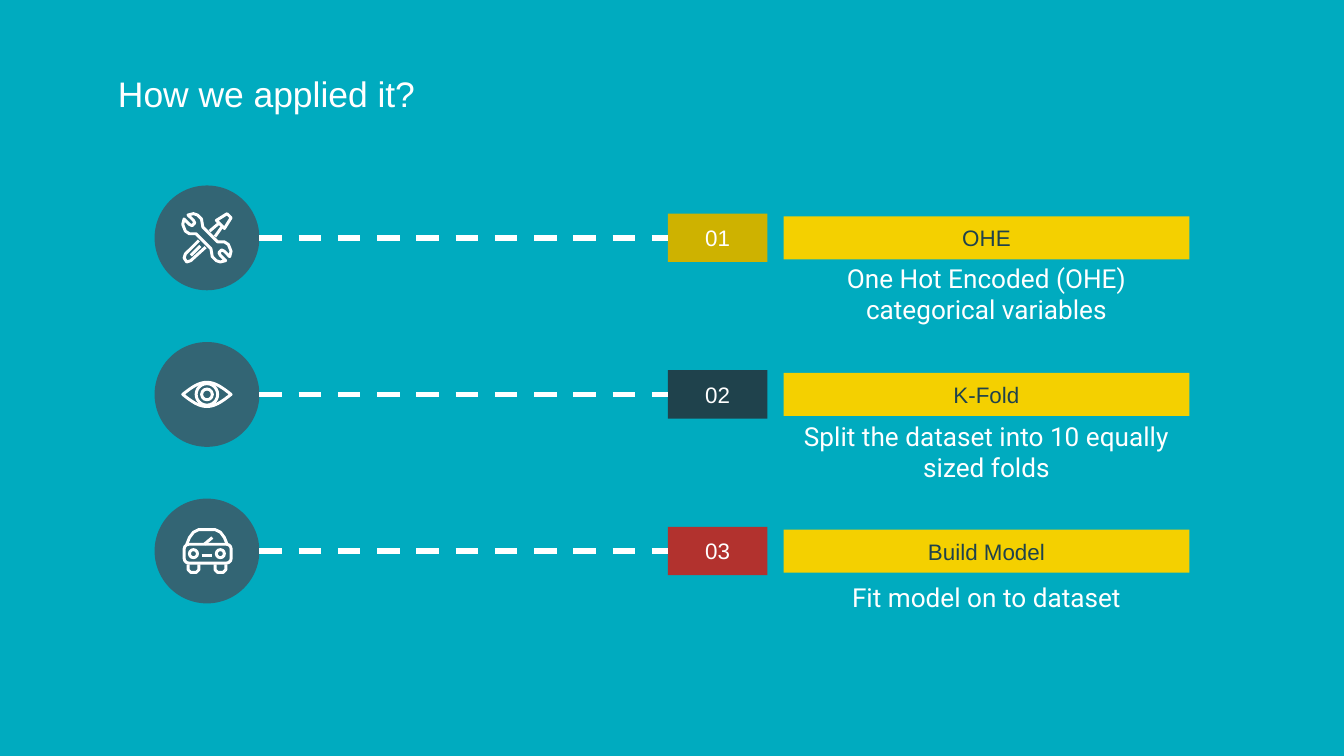
from math import cos, pi

from lxml.etree import SubElement
from pptx import Presentation
from pptx.dml.color import RGBColor
from pptx.enum.dml import MSO_LINE
from pptx.enum.shapes import MSO_CONNECTOR, MSO_SHAPE
from pptx.enum.text import MSO_ANCHOR, PP_ALIGN
from pptx.oxml.ns import qn
from pptx.util import Inches, Pt

TEAL = RGBColor(0x00, 0xAB, 0xBF)
WHITE = RGBColor(0xFF, 0xFF, 0xFF)
YELLOW = RGBColor(0xF4, 0xD0, 0x00)
OCHRE = RGBColor(0xCE, 0xB2, 0x00)
DARK = RGBColor(0x1F, 0x42, 0x4C)
RED = RGBColor(0xB2, 0x32, 0x2E)
SLATE = RGBColor(0x33, 0x65, 0x74)

PAGE_WIDTH = 10
ICON_X = 1.54
FIRST_ROW_Y = 1.77
LAST_ROW_Y = 4.1
CIRCLE_SIZE = 0.78
STROKE = 1.6

WRENCH_HALF = [(-0.03, -0.08), (-0.04, -0.14), (-0.07, -0.17), (-0.1, -0.18),
               (-0.14, -0.17), (-0.1, -0.13), (-0.09, -0.11), (-0.11, -0.09),
               (-0.13, -0.1), (-0.17, -0.14), (-0.18, -0.1), (-0.16, -0.05),
               (-0.13, -0.03), (-0.08, -0.03)]
HANDLE = [(-0.06, 0.02), (-0.16, 0.12), (-0.17, 0.15), (-0.15, 0.18),
          (-0.12, 0.17), (-0.01, 0.07)]
TIP = [(0.07, -0.13), (0.15, -0.18), (0.18, -0.15), (0.13, -0.07)]
CABIN = [(-0.15, -0.05), (-0.13, -0.1), (-0.1, -0.14), (-0.06, -0.16),
         (0.06, -0.16), (0.1, -0.14), (0.13, -0.1), (0.15, -0.05)]
WHEEL = [(-0.04, 0.1), (-0.04, 0.14), (-0.02, 0.16), (0.02, 0.16),
         (0.04, 0.14), (0.04, 0.1)]


def write_text(shape, text, size=12, font="Arial", color=WHITE,
               align=PP_ALIGN.CENTER, anchor=MSO_ANCHOR.MIDDLE):
    frame = shape.text_frame
    frame.word_wrap = True
    frame.vertical_anchor = anchor
    frame.margin_left = frame.margin_right = Inches(0.1)
    frame.margin_top = frame.margin_bottom = Inches(0.1)
    para = frame.paragraphs[0]
    para.alignment = align
    span = para.add_run()
    span.text = text
    span.font.size = Pt(size)
    span.font.name = font
    span.font.color.rgb = color


def add_text(page, text, left, top, width, height, **text_format):
    box = page.shapes.add_textbox(Inches(left), Inches(top), Inches(width), Inches(height))
    write_text(box, text, **text_format)


def add_solid(page, kind, left, top, width, height, fill):
    shape = page.shapes.add_shape(kind, Inches(left), Inches(top), Inches(width), Inches(height))
    shape.shadow.inherit = False
    shape.fill.solid()
    shape.fill.fore_color.rgb = fill
    shape.line.fill.background()
    return shape


def make_outline(shape):
    shape.shadow.inherit = False
    shape.fill.background()
    shape.line.color.rgb = WHITE
    shape.line.width = Pt(STROKE)


def add_line(page, start, end, width=STROKE, dash=None):
    line = page.shapes.add_connector(MSO_CONNECTOR.STRAIGHT, *map(Inches, start + end))
    line.line.color.rgb = WHITE
    line.line.width = Pt(width)
    if dash is not None:
        line.line.dash_style = dash
    SubElement(line.element.spPr, qn("a:effectLst"))


def icon_path(page, y, points, close=False, shift=0):
    corners = [(Inches(ICON_X + shift + dx), Inches(y + dy)) for dx, dy in points]
    builder = page.shapes.build_freeform(*corners[0])
    builder.add_line_segments(corners[1:], close=close)
    make_outline(builder.convert_to_shape())


def icon_ring(page, y, radius, dx=0, dy=0):
    size = Inches(2 * radius)
    make_outline(page.shapes.add_shape(
        MSO_SHAPE.OVAL, Inches(ICON_X + dx - radius), Inches(y + dy - radius), size, size))


def icon_line(page, y, start, end):
    add_line(page, *[(ICON_X + dx, y + dy) for dx, dy in (start, end)])


def draw_tools(page, y):
    icon_path(page, y, WRENCH_HALF + [(-dx, -dy) for dx, dy in WRENCH_HALF], close=True)
    icon_path(page, y, HANDLE)
    icon_path(page, y, TIP, close=True)
    icon_line(page, y, (-0.12, 0.13), (-0.05, 0.06))
    icon_line(page, y, (0.02, -0.05), (0.09, -0.11))
    icon_line(page, y, (0.06, -0.01), (0.11, -0.08))


def draw_eye(page, y):
    upper = [(step / 100, -0.09 * cos(pi * step / 36)) for step in range(-18, 19)]
    lower = [(-dx, -dy) for dx, dy in upper[1:-1]]
    icon_path(page, y, upper + lower, close=True)
    for radius in (0.08, 0.04):
        icon_ring(page, y, radius)


def draw_car(page, y):
    body = page.shapes.add_shape(MSO_SHAPE.ROUNDED_RECTANGLE, Inches(ICON_X - 0.17),
                                 Inches(y - 0.05), Inches(0.35), Inches(0.14))
    body.adjustments[0] = 0.25
    make_outline(body)
    icon_path(page, y, CABIN)
    for side in (-0.1, 0.1):
        icon_path(page, y, WHEEL, shift=side)
        icon_ring(page, y, 0.03, side, 0.02)
    icon_line(page, y, (-0.04, 0.03), (0.04, 0.03))
    icon_line(page, y, (-0.02, -0.05), (0.04, -0.1))


STEPS = [
    ("OHE", "One Hot Encoded (OHE) categorical variables", OCHRE, 0.51, draw_tools),
    ("K-Fold", "Split the dataset into 10 equally sized folds", DARK, 0.53, draw_eye),
    ("Build Model", "Fit model on to dataset", RED, 0.36, draw_car),
]


def add_step(page, index, heading, detail, color, detail_height, draw_icon):
    y = FIRST_ROW_Y + index * (LAST_ROW_Y - FIRST_ROW_Y) / (len(STEPS) - 1)
    radius = CIRCLE_SIZE / 2
    banner = add_solid(page, MSO_SHAPE.RECTANGLE, 5.83, y - 0.16, 3.02, 0.32, YELLOW)
    write_text(banner, heading, color=DARK)
    add_text(page, detail, 5.83, y + 0.16, 3.02, detail_height, size=14, font="Roboto")
    number = add_solid(page, MSO_SHAPE.RECTANGLE, 4.97, y - 0.18, 0.74, 0.36, color)
    write_text(number, f"{index + 1:02d}")
    add_solid(page, MSO_SHAPE.OVAL, ICON_X - radius, y - radius,
              CIRCLE_SIZE, CIRCLE_SIZE, SLATE)
    add_line(page, (ICON_X + radius, y), (4.97, y), width=3, dash=MSO_LINE.DASH)
    draw_icon(page, y)


def main():
    deck = Presentation()
    deck.slide_width = Inches(PAGE_WIDTH)
    deck.slide_height = Inches(PAGE_WIDTH * 9 / 16)
    page = deck.slides.add_slide(deck.slide_layouts[6])
    page.background.fill.solid()
    page.background.fill.fore_color.rgb = TEAL
    add_text(page, "How we applied it?", 0.78, 0.44, 8.44, 0.63, size=19,
             align=PP_ALIGN.LEFT, anchor=MSO_ANCHOR.TOP)
    for index, step in enumerate(STEPS):
        add_step(page, index, *step)
    deck.save("out.pptx")


main()
